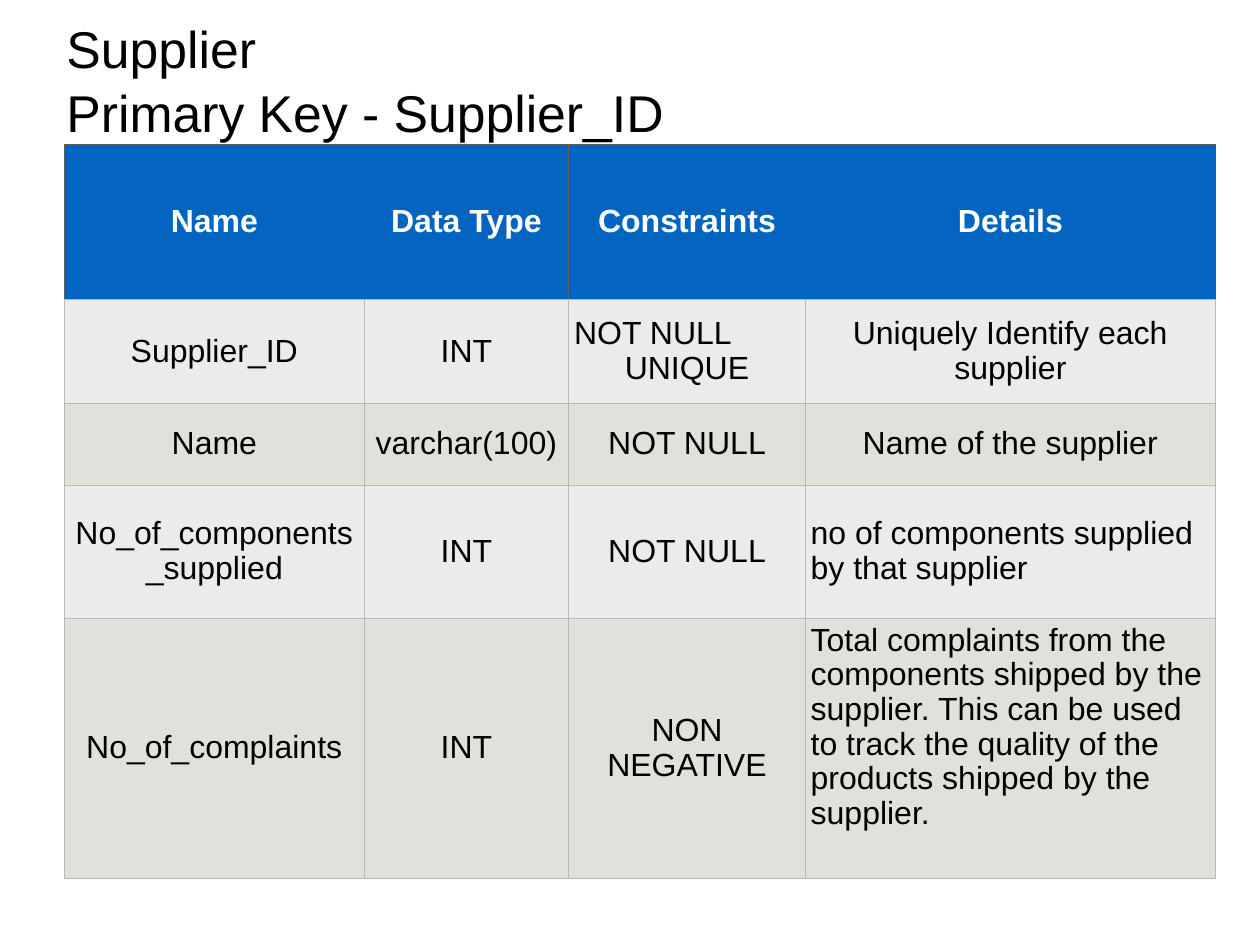
from pptx import Presentation
from pptx.dml.color import RGBColor
from pptx.enum.text import MSO_ANCHOR as Anchor, PP_ALIGN as Align
from pptx.oxml import parse_xml
from pptx.oxml.ns import nsdecls
from pptx.util import Inches, Pt

BLACK = RGBColor(0x00, 0x00, 0x00)
WHITE = RGBColor(0xFF, 0xFF, 0xFF)
BLUE = RGBColor(0x03, 0x65, 0xC0)
LIGHT = RGBColor(0xEB, 0xEB, 0xEB)
BEIGE = RGBColor(0xE1, 0xE0, 0xDA)
GREY = RGBColor(0xB8, 0xB8, 0xB8)
DARK = RGBColor(0x5E, 0x5E, 0x5E)

TITLE = ["Supplier", "Primary Key - Supplier_ID"]
COLUMN_WIDTHS = [3.38, 2.31, 2.67, 4.63]
ROW_HEIGHTS = [1.75, 1.18, 0.92, 1.5, 2.94]
ROWS = [
    ["Name", "Data Type", "Constraints", "Details"],
    ["Supplier_ID", "INT", "NOT NULL\nUNIQUE", "Uniquely Identify each supplier"],
    ["Name", "varchar(100)", "NOT NULL", "Name of the supplier"],
    ["No_of_components_supplied", "INT", "NOT NULL",
     "no of components supplied by that supplier"],
    ["No_of_complaints", "INT", "NON NEGATIVE",
     "Total complaints from the components shipped by the supplier. This can be "
     "used to track the quality of the products shipped by the supplier."],
]
LEFT_ALIGNED = {(1, 2), (3, 3), (4, 3)}


def style_para(para, size, color, bold=False):
    font = para.font
    font.name, font.size, font.bold = "Arial", Pt(size), bold
    font.color.rgb = color


def add_title(page):
    box = page.shapes.add_textbox(Inches(0.75), Inches(0.19), Inches(13), Inches(1.4))
    frame = box.text_frame
    frame.word_wrap = True
    frame.margin_left = frame.margin_right = frame.margin_top = frame.margin_bottom = 0
    frame.text = "\n".join(TITLE)
    for para in frame.paragraphs:
        style_para(para, 42, BLACK)
        para.space_after = Pt(2)


def add_borders(cell, **colors):
    properties = cell._tc.get_or_add_tcPr()
    for index, (side, color) in enumerate(colors.items()):
        properties.insert(index, parse_xml(
            f'<a:{side} {nsdecls("a")} w="9525"><a:solidFill>'
            f'<a:srgbClr val="{color}"/></a:solidFill></a:{side}>'))


def fill_cell(cell, text, row, column):
    header = row == 0
    cell.margin_left = cell.margin_right = Inches(0.06)
    cell.margin_top = cell.margin_bottom = Inches(0.06)
    cell.vertical_anchor = Anchor.TOP if (row, column) == (4, 3) else Anchor.MIDDLE
    cell.fill.solid()
    cell.fill.fore_color.rgb = BLUE if header else LIGHT if row % 2 else BEIGE
    cell.text = text
    for para in cell.text_frame.paragraphs:
        style_para(para, 26, WHITE if header else BLACK, header)
        para.alignment = Align.CENTER
        para.line_spacing = 0.97
    if (row, column) in LEFT_ALIGNED:
        cell.text_frame.paragraphs[0].alignment = Align.LEFT
    if header:
        add_borders(cell, lnL=BLUE if column % 2 else DARK,
                    lnR=DARK if column == 1 else BLUE, lnT=DARK, lnB=GREY)
    else:
        add_borders(cell, lnL=GREY, lnR=GREY, lnT=GREY, lnB=GREY)


def add_supplier_table(page):
    frame = page.shapes.add_table(
        len(ROWS), len(COLUMN_WIDTHS), Inches(0.73), Inches(1.63),
        Inches(sum(COLUMN_WIDTHS)), Inches(sum(ROW_HEIGHTS)))
    table = frame.table
    for column, width in zip(table.columns, COLUMN_WIDTHS):
        column.width = Inches(width)
    for row, height in zip(table.rows, ROW_HEIGHTS):
        row.height = Inches(height)
    for row, texts in enumerate(ROWS):
        for column, text in enumerate(texts):
            fill_cell(table.cell(row, column), text, row, column)


def main():
    deck = Presentation()
    deck.slide_width, deck.slide_height = Inches(14.22), Inches(10.67)
    page = deck.slides.add_slide(deck.slide_layouts[6])
    add_title(page)
    add_supplier_table(page)
    deck.save("out.pptx")


if __name__ == "__main__":
    main()
